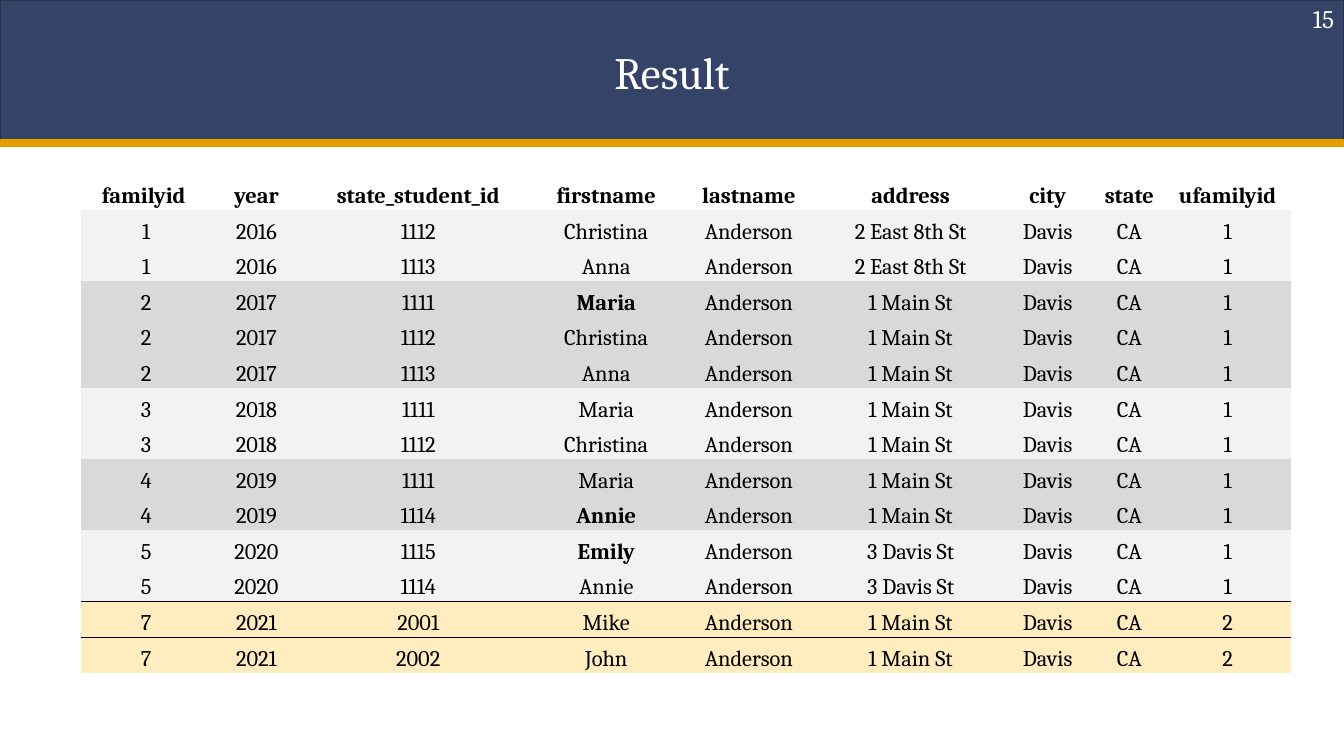
from lxml import etree
from pptx import Presentation
from pptx.dml.color import RGBColor
from pptx.enum.shapes import MSO_CONNECTOR, MSO_SHAPE
from pptx.enum.text import MSO_ANCHOR, PP_ALIGN
from pptx.oxml.ns import qn
from pptx.util import Inches, Pt

RECTANGLE = MSO_SHAPE.RECTANGLE
STRAIGHT = MSO_CONNECTOR.STRAIGHT
CENTER, RIGHT = PP_ALIGN.CENTER, PP_ALIGN.RIGHT
MIDDLE, BOTTOM = MSO_ANCHOR.MIDDLE, MSO_ANCHOR.BOTTOM

GRID_COLUMNS, GRID_ROWS = 160, 90
PLAIN_TABLE = "{2D5ABB26-0587-4C30-8999-92F81FD0307C}"
NAVY, NAVY_EDGE, GOLD = "354369", "27324E", "E2A100"
WHITE, BLACK = "FFFFFF", "000000"
LIGHT, GRAY, CREAM = "F2F2F2", "D9D9D9", "FFEDC0"

HEADINGS = ["familyid ", "year", "state_student_id", "firstname", "lastname",
            "address", "city", "state", "ufamilyid"]
COLUMN_WIDTHS = [15.6, 10.68, 27.84, 16.92, 17.04, 21.48, 11.16, 8.28, 15.12]
ROW_HEIGHT = 4.24
FAMILIES = [
    ("1", "2016", "2 East 8th St", "1", LIGHT, [("1112", "Christina"), ("1113", "Anna")]),
    ("2", "2017", "1 Main St", "1", GRAY,
     [("1111", "Maria"), ("1112", "Christina"), ("1113", "Anna")]),
    ("3", "2018", "1 Main St", "1", LIGHT, [("1111", "Maria"), ("1112", "Christina")]),
    ("4", "2019", "1 Main St", "1", GRAY, [("1111", "Maria"), ("1114", "Annie")]),
    ("5", "2020", "3 Davis St", "1", LIGHT, [("1115", "Emily"), ("1114", "Annie")]),
    ("7", "2021", "1 Main St", "2", CREAM, [("2001", "Mike"), ("2002", "John")]),
]
BOLD_NAMES = {("2", "Maria"), ("4", "Annie"), ("5", "Emily")}
RULED_ROWS = [11, 12]


def color(value):
    return RGBColor.from_string(value)


class SlideBuilder:
    font_name = "Cambria"

    def __init__(self, deck):
        self.column = deck.slide_width / GRID_COLUMNS
        self.row = deck.slide_height / GRID_ROWS
        self.page = deck.slides.add_slide(deck.slide_layouts[5])
        self.shapes = self.page.shapes

    def place(self, left, top, width, height):
        return (round(left * self.column), round(top * self.row),
                round(width * self.column), round(height * self.row))

    def add_text(self, frame, text, size, text_color, bold=False, **paragraph_format):
        para = frame.paragraphs[0]
        for name, value in paragraph_format.items():
            setattr(para, name, value)
        span = para.add_run()
        span.text = text
        font_format = {"name": self.font_name, "size": Pt(size), "bold": bold}
        for name, value in font_format.items():
            setattr(span.font, name, value)
        span.font.color.rgb = color(text_color)

    def banner(self, area, fill, edge):
        box = self.shapes.add_shape(RECTANGLE, *self.place(*area))
        box.shadow.inherit = False
        box.fill.solid()
        box.fill.fore_color.rgb = color(fill)
        box.line.color.rgb = color(edge)
        box.line.width = Pt(2)

    def rule(self, start, end, height, line_color, width):
        left, top, right, bottom = self.place(start, height, end, height)
        line = self.shapes.add_connector(STRAIGHT, left, top, right, bottom)
        line.line.color.rgb = color(line_color)
        line.line.width = Pt(width)
        etree.SubElement(line._element.spPr, qn("a:effectLst"))

    def title(self, area, text):
        box = self.shapes.title
        self.shapes._spTree.append(box._element)
        box.left, box.top, box.width, box.height = self.place(*area)
        box.text_frame.vertical_anchor = MIDDLE
        self.add_text(box.text_frame, text, 32, WHITE, alignment=CENTER)

    def page_number(self, area, text):
        frame = self.shapes.add_textbox(*self.place(*area)).text_frame
        frame.word_wrap = True
        frame.vertical_anchor = MIDDLE
        self.add_text(frame, text, 18, WHITE, alignment=RIGHT,
                      line_spacing=0.9, space_after=Pt(6))

    def border(self, cell, side):
        line = etree.Element(qn(f"a:{side}"), w=str(Pt(1)))
        fill = etree.SubElement(line, qn("a:solidFill"))
        etree.SubElement(fill, qn("a:srgbClr"), val=BLACK)
        cell._tc.get_or_add_tcPr().insert(0, line)

    def cell(self, cell, text, fill, bold):
        cell_format = {"vertical_anchor": BOTTOM}
        for side in ("left", "right", "top", "bottom"):
            cell_format[f"margin_{side}"] = Inches(0.01)
        for name, value in cell_format.items():
            setattr(cell, name, value)
        if fill:
            cell.fill.solid()
            cell.fill.fore_color.rgb = color(fill)
        else:
            cell.fill.background()
        self.add_text(cell.text_frame, text, 16, BLACK, bold, alignment=CENTER)

    def table(self, left, top, records):
        area = self.place(left, top, sum(COLUMN_WIDTHS), ROW_HEIGHT * len(records))
        table = self.shapes.add_table(len(records), len(HEADINGS), *area).table
        table.first_row = table.horz_banding = False
        table._tbl.tblPr.find(qn("a:tableStyleId")).text = PLAIN_TABLE
        for column, width in zip(table.columns, COLUMN_WIDTHS):
            column.width = round(width * self.column)
        for index, (values, fill, bold_columns) in enumerate(records):
            table.rows[index].height = round(ROW_HEIGHT * self.row)
            for position, text in enumerate(values):
                cell = table.cell(index, position)
                self.cell(cell, text, fill, position in bold_columns)
                if index in RULED_ROWS:
                    self.border(cell, "lnB")
                if index - 1 in RULED_ROWS:
                    self.border(cell, "lnT")


def student_records():
    records = [(HEADINGS, None, range(len(HEADINGS)))]
    for family, year, address, united, fill, students in FAMILIES:
        for student, name in students:
            values = [family, year, student, name, "Anderson", address, "Davis", "CA", united]
            bold_columns = [3] if (family, name) in BOLD_NAMES else []
            records.append((values, fill, bold_columns))
    return records


def main():
    deck = Presentation()
    deck.slide_width, deck.slide_height = Inches(13.33), Inches(7.5)
    builder = SlideBuilder(deck)
    builder.banner((0, 0, GRID_COLUMNS, 17), NAVY, NAVY_EDGE)
    builder.rule(-0.4, GRID_COLUMNS + 0.4, 17, GOLD, 6)
    builder.title((8, 1, 144, 15), "Result")
    builder.page_number((122.6, 0, 37.4, 4.8), "15")
    builder.table(9.6, 20.76, student_records())
    deck.save("out.pptx")


if __name__ == "__main__":
    main()
